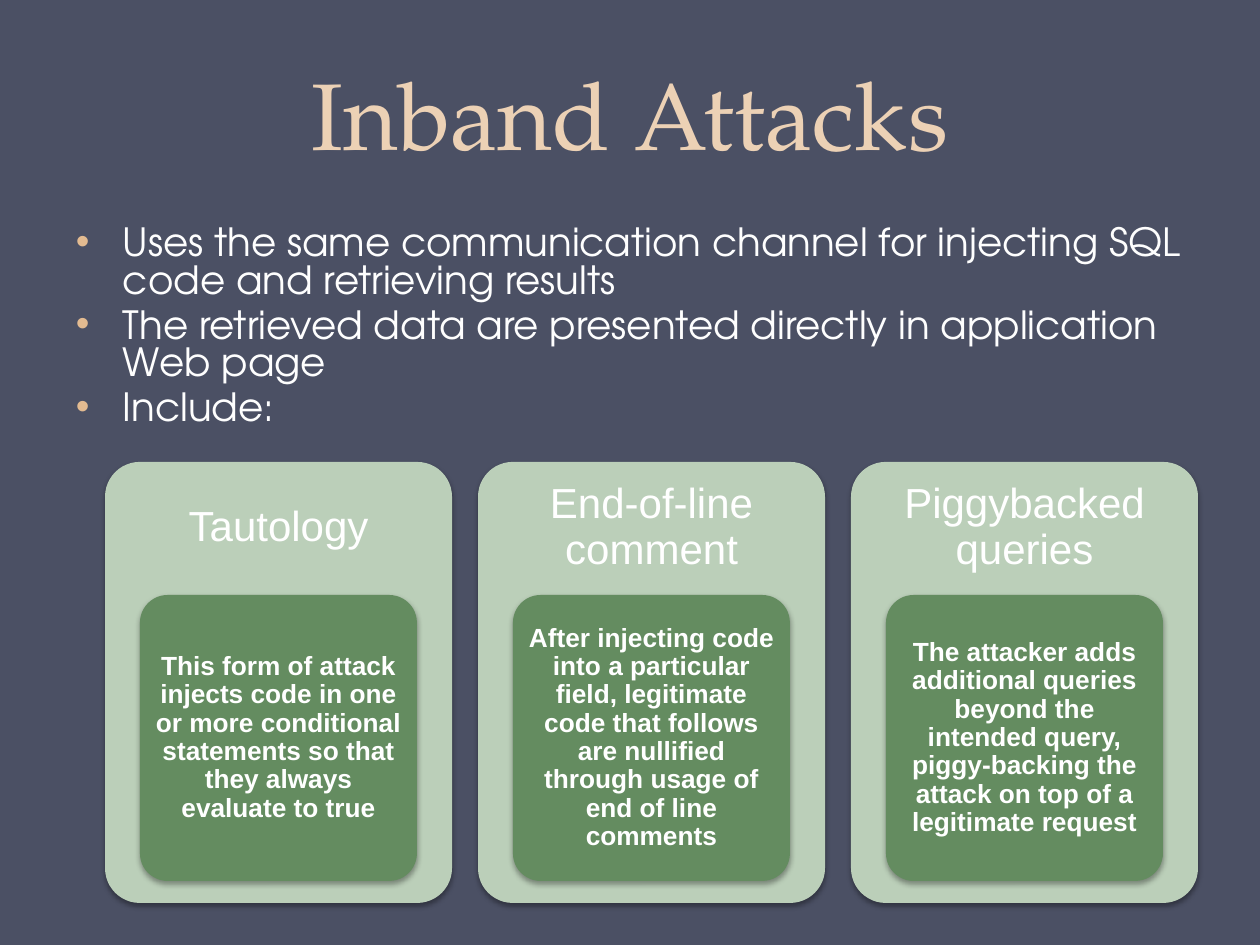
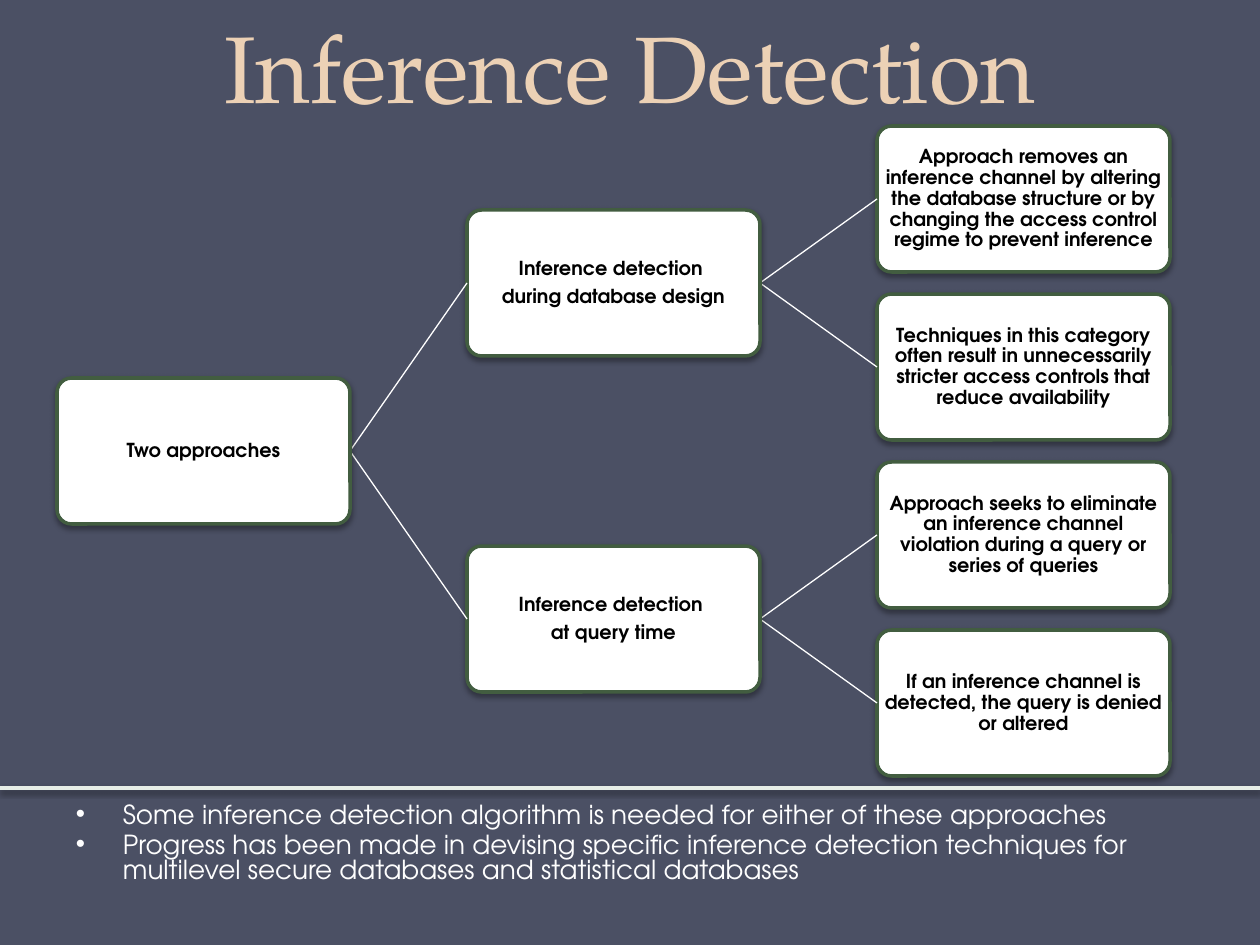
from dataclasses import dataclass

from lxml import etree
from pptx import Presentation
from pptx.dml.color import RGBColor
from pptx.enum.shapes import MSO_CONNECTOR, MSO_SHAPE
from pptx.enum.text import MSO_ANCHOR, PP_ALIGN
from pptx.oxml.ns import qn
from pptx.util import Emu, Pt

ROUNDED = MSO_SHAPE.ROUNDED_RECTANGLE
STRAIGHT = MSO_CONNECTOR.STRAIGHT
TOP, MIDDLE, BOTTOM = MSO_ANCHOR.TOP, MSO_ANCHOR.MIDDLE, MSO_ANCHOR.BOTTOM
LEFT, CENTER = PP_ALIGN.LEFT, PP_ALIGN.CENTER


@dataclass(frozen=True)
class Theme:
    background: str = "4B5064"
    title: str = "ECD1B5"
    body: str = "FEFEFE"
    bullet: str = "E3BB91"
    white: str = "FFFFFF"
    black: str = "000000"
    card: str = "BBCFB9"
    card_detail: str = "648C60"
    node_border: str = "425D40"
    divider: str = "E7EEE7"
    title_font: str = "TeX Gyre Pagella"
    body_font: str = "TeX Gyre Adventor"
    card_font: str = "Arial"
    title_size: float = 54
    body_size: float = 22.2
    note_size: float = 15
    heading_size: float = 24
    detail_size: float = 15
    node_size: float = 11


THEME = Theme()
PX_PER_INCH = 126
SLIDE_WIDTH, SLIDE_HEIGHT = 1260, 945
MARGIN = 63
CONTENT_WIDTH = SLIDE_WIDTH - 2 * MARGIN
BULLET_INDENT = 47
CORNER = 0.1

INBAND = {
    "title": "Inband Attacks",
    "bullets": [
        "Uses the same communication channel for injecting SQL code and retrieving results",
        "The retrieved data are presented directly in application Web page",
        "Include:",
    ],
    "cards": [
        ("Tautology",
         "This form of attack injects code in one or more conditional statements "
         "so that they always evaluate to true"),
        ("End-of-line comment",
         "After injecting code into a particular field, legitimate code that follows "
         "are nullified through usage of end of line comments"),
        ("Piggybacked queries",
         "The attacker adds additional queries beyond the intended query, "
         "piggy-backing the attack on top of a legitimate request"),
    ],
}

# Each tree node is (paragraphs, children).
INFERENCE = {
    "title": "Inference Detection",
    "tree": (["Two approaches"], [
        (["Inference detection ", "during database design"], [
            (["Approach removes an inference channel by altering the database structure "
              "or by changing the access control regime to prevent inference"], []),
            (["Techniques in this category often result in unnecessarily stricter "
              "access controls that reduce availability"], []),
        ]),
        (["Inference detection ", "at query time"], [
            (["Approach seeks to eliminate an inference channel violation during a query "
              "or series of queries"], []),
            (["If an inference channel is detected, the query is denied or altered"], []),
        ]),
    ]),
    "bullets": [
        "Some inference detection algorithm is needed for either of these approaches",
        "Progress has been made in devising specific inference detection techniques "
        "for multilevel secure databases and statistical databases",
    ],
}


def px(length):
    return Emu(round(length * 914400 / PX_PER_INCH))


def box(*lengths):
    return [px(length) for length in lengths]


def rgb(color):
    return RGBColor.from_string(color)


def write(shape, paragraphs, font, size, color, bold=False, anchor=MIDDLE,
          align=CENTER, line_spacing=0.9, space_before=0, insets=(13, 6)):
    """Fill a shape with paragraphs; insets are (horizontal, vertical) px."""
    frame = shape.text_frame
    frame.text = "\n".join(paragraphs)
    frame.word_wrap = True
    frame.vertical_anchor = anchor
    frame.margin_left = frame.margin_right = px(insets[0])
    frame.margin_top = frame.margin_bottom = px(insets[1])
    for index, paragraph in enumerate(frame.paragraphs):
        paragraph.alignment = align
        paragraph.line_spacing = line_spacing
        paragraph.space_before = Pt(space_before if index else 0)
        for run in paragraph.runs:
            run.font.name = font
            run.font.size = Pt(size)
            run.font.bold = bold
            run.font.color.rgb = rgb(color)


def add_titled_slide(presentation, title, title_height):
    slide = presentation.slides.add_slide(presentation.slide_layouts[5])
    placeholder = slide.shapes.title
    placeholder.left, placeholder.top, placeholder.width, placeholder.height = box(
        MARGIN, 0, CONTENT_WIDTH, title_height)
    write(placeholder, [title], THEME.title_font, THEME.title_size, THEME.title,
          anchor=BOTTOM, line_spacing=1.07)
    return slide


def add_bullets(slide, bullets, top, height, size, bullet_color):
    text_box = slide.shapes.add_textbox(*box(MARGIN, top, CONTENT_WIDTH, height))
    write(text_box, bullets, THEME.body_font, size, THEME.body, anchor=TOP,
          align=LEFT, line_spacing=0.8, space_before=size / 5)
    for paragraph in text_box.text_frame.paragraphs:
        properties = paragraph._p.get_or_add_pPr()
        properties.set("marL", str(px(BULLET_INDENT)))
        properties.set("indent", str(-px(BULLET_INDENT)))
        color = etree.SubElement(properties, qn("a:buClr"))
        etree.SubElement(color, qn("a:srgbClr"), val=bullet_color)
        etree.SubElement(properties, qn("a:buFont"), typeface="Arial")
        etree.SubElement(properties, qn("a:buChar"), char="•")


def add_shadow(effect_list, opacity):
    shadow = etree.SubElement(effect_list, qn("a:outerShdw"), blurRad=str(Pt(3.1)),
                              dist=str(Pt(1.8)), dir="5400000", rotWithShape="0")
    color = etree.SubElement(shadow, qn("a:srgbClr"), val=THEME.black)
    etree.SubElement(color, qn("a:alpha"), val=str(opacity * 1000))


def add_panel(slide, bounds, fill, border=None):
    panel = slide.shapes.add_shape(ROUNDED, *box(*bounds))
    panel.adjustments[0] = CORNER
    panel.fill.solid()
    panel.fill.fore_color.rgb = rgb(fill)
    if border:
        panel.line.color.rgb = rgb(border)
        panel.line.width = Pt(2)
    else:
        panel.line.fill.background()
    panel.shadow.inherit = False
    add_shadow(panel._element.spPr.find(qn("a:effectLst")), 35)
    return panel


def add_line(slide, start, end, color, width):
    """Draw a line and return its empty effect list."""
    line = slide.shapes.add_connector(STRAIGHT, *box(*start, *end))
    line.line.color.rgb = rgb(color)
    line.line.width = Pt(width)
    return etree.SubElement(line._element.spPr, qn("a:effectLst"))


def add_cards(slide, cards):
    first_left, top, width, height, step = 105, 462, 347, 441, 373
    heading_height, detail_height, detail_inset = 132, 286, 35
    for index, (heading, detail) in enumerate(cards):
        left = first_left + index * step
        add_panel(slide, (left, top, width, height), THEME.card)
        heading_box = slide.shapes.add_textbox(*box(left, top, width, heading_height))
        write(heading_box, [heading], THEME.card_font, THEME.heading_size, THEME.white,
              insets=(13, 13))
        detail_panel = add_panel(
            slide, (left + detail_inset, top + heading_height + 1,
                    width - 2 * detail_inset, detail_height), THEME.card_detail)
        write(detail_panel, [detail], THEME.card_font, THEME.detail_size, THEME.white,
              bold=True, insets=(5, 4))


def add_tree(slide, node, depth=0, first_row=0):
    """Draw a node centred on its leaves; return its middle y and its leaf count."""
    first_left, first_top, width, height = 57, 126, 292 + 1, 146
    column_step, row_step = 410, 168
    paragraphs, children = node
    left = first_left + depth * column_step

    child_middles, leaf_count = [], 0
    for child in children:
        middle, leaves = add_tree(slide, child, depth + 1, first_row + leaf_count)
        child_middles.append(middle)
        leaf_count += leaves
    leaf_count = leaf_count or 1

    top = first_top + (first_row + (leaf_count - 1) / 2) * row_step
    middle = top + height / 2
    for child_middle in child_middles:
        add_line(slide, (left + width, middle), (left + column_step, child_middle),
                 THEME.white, 0.75)
    panel = add_panel(slide, (left, top, width, height), THEME.white, THEME.node_border)
    write(panel, paragraphs, THEME.body_font, THEME.node_size, THEME.black, bold=True,
          space_before=3.9, insets=(1, 1))
    return middle, leaf_count


def build_inband(presentation):
    slide = add_titled_slide(presentation, INBAND["title"], 175)
    add_bullets(slide, INBAND["bullets"], 221, 220, THEME.body_size, THEME.bullet)
    add_cards(slide, INBAND["cards"])


def build_inference(presentation):
    slide = add_titled_slide(presentation, INFERENCE["title"], 128)
    add_bullets(slide, INFERENCE["bullets"], 798, 111, THEME.note_size, THEME.body)
    add_tree(slide, INFERENCE["tree"])
    divider_top = 788
    effects = add_line(slide, (0, divider_top), (SLIDE_WIDTH, divider_top),
                       THEME.divider, 2.25)
    add_shadow(effects, 38)


def main():
    presentation = Presentation()
    presentation.slide_width, presentation.slide_height = box(SLIDE_WIDTH, SLIDE_HEIGHT)
    background = presentation.slide_master.background.fill
    background.solid()
    background.fore_color.rgb = rgb(THEME.background)
    build_inband(presentation)
    build_inference(presentation)
    presentation.save("out.pptx")


if __name__ == "__main__":
    main()
